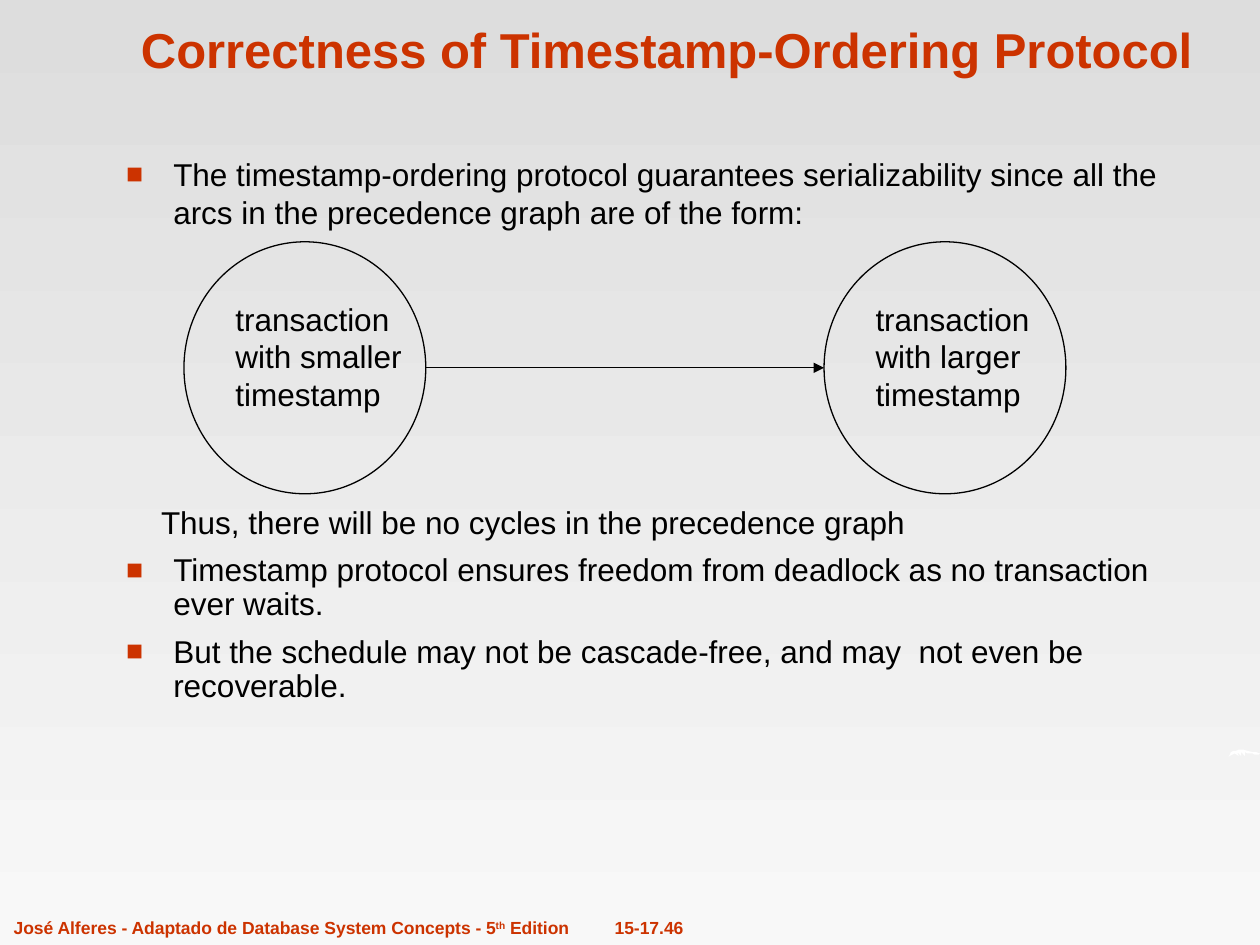
from dataclasses import dataclass

from lxml import etree
from pptx import Presentation
from pptx.dml.color import RGBColor
from pptx.enum import shapes, text
from pptx.oxml import ns
from pptx.util import Pt


@dataclass(frozen=True)
class Theme:
    """Colours, font and type sizes of the deck."""
    font: str = "Arial"
    accent: RGBColor = RGBColor(0xCC, 0x33, 0x00)
    ink: RGBColor = RGBColor(0, 0, 0)
    white: RGBColor = RGBColor(255, 255, 255)
    back: tuple = (RGBColor(0xDD, 0xDD, 0xDD), RGBColor(0xF8, 0xF8, 0xF8))
    title: float = 28
    body: float = 18
    footer: float = 10
    leading: float = 21.6
    tight: float = 19.4
    line: float = 0.75


T = Theme()
FRAME = dict(margin_left=Pt(7.2), margin_right=Pt(7.2), margin_top=Pt(3.6),
             margin_bottom=Pt(3.6), auto_size=text.MSO_AUTO_SIZE.NONE)
SWOOSH = [(0, 43), (7, 29), (14, 14), (29, 7), (43, 7), (58, 0), (86, 0),
          (108, 7), (137, 14), (158, 14), (180, 22), (173, 29), (151, 29),
          (137, 22), (108, 22), (94, 14), (94, 36), (72, 14), (72, 36),
          (50, 14), (58, 36), (36, 22), (22, 29), (7, 36)]


def apply(obj, **values):
    """Set each named value on the object."""
    for name, value in values.items():
        setattr(obj, name, value)


def place(sp, box):
    """Move a shape to a box given in points."""
    apply(sp, **dict(zip(("left", "top", "width", "height"), map(Pt, box))))


def add_run(p, words, size, color, bold=False):
    """Append a formatted run to a paragraph."""
    r = p.add_run()
    r.text = words
    apply(r.font, name=T.font, size=Pt(size), bold=bold)
    r.font.color.rgb = color
    return r


def add_box(s, box):
    """Add an unwrapped text box and return its frame."""
    tf = s.shapes.add_textbox(*map(Pt, box)).text_frame
    apply(tf, word_wrap=False, **FRAME)
    return tf


def set_bullet(p, shown, margin, indent):
    """Give a paragraph its indents and a square bullet or none."""
    pPr = p._p.get_or_add_pPr()
    pPr.set("marL", str(Pt(margin)))
    pPr.set("indent", str(Pt(indent)))
    if not shown:
        etree.SubElement(pPr, ns.qn("a:buNone"))
        return
    clr = etree.SubElement(pPr, ns.qn("a:buClr"))
    etree.SubElement(clr, ns.qn("a:srgbClr"), val=str(T.accent))
    etree.SubElement(pPr, ns.qn("a:buSzPct"), val="90000")
    etree.SubElement(pPr, ns.qn("a:buFont"), typeface=T.font)
    etree.SubElement(pPr, ns.qn("a:buChar"), char="■")


def add_background(s):
    """Fill the slide with a vertical gradient."""
    fill = s.background.fill
    fill.gradient()
    fill.gradient_angle = 270
    for stop, color in zip(fill.gradient_stops, T.back):
        stop.color.rgb = color


def add_swoosh(s, left, top):
    """Draw the small white stroke at the slide edge."""
    fb = s.shapes.build_freeform(*SWOOSH[0], scale=Pt(1) / 10)
    fb.add_line_segments(SWOOSH[1:], close=True)
    sp = fb.convert_to_shape(Pt(left), Pt(top))
    sp.shadow.inherit = False
    sp.fill.solid()
    sp.fill.fore_color.rgb = T.white
    sp.line.fill.background()


def add_footer(s, box):
    """Write the credit line and page number along the box."""
    left, top, width, height = box
    credit = add_box(s, (left, top, 332.6, height)).paragraphs[0]
    number = add_box(s, (left + width - 90.7, top, 90.7, height)).paragraphs[0]
    number.alignment = text.PP_ALIGN.CENTER
    style = (T.footer, T.accent, True)
    add_run(credit, "José Alferes - Adaptado de Database System Concepts - 5", *style)
    th = add_run(credit, "th", *style)
    th.font._element.set("baseline", "30000")
    add_run(credit, " Edition", *style)
    add_run(number, "15-17.46", *style)
    for p in (credit, number):
        p.space_before = Pt(6.2)


def add_title(s, box, words):
    """Fill the title placeholder."""
    sp = s.shapes.title
    place(sp, box)
    tf = sp.text_frame
    apply(tf, word_wrap=True, vertical_anchor=text.MSO_ANCHOR.BOTTOM, **FRAME)
    p = tf.paragraphs[0]
    p.alignment = text.PP_ALIGN.CENTER
    add_run(p, words, T.title, T.accent, True)


def add_body(s, box, items):
    """Fill the body placeholder with (words, bulleted, leading, gap) items."""
    sp = s.placeholders[1]
    place(sp, box)
    tf = sp.text_frame
    apply(tf, word_wrap=True, vertical_anchor=text.MSO_ANCHOR.TOP, **FRAME)
    for i, (words, bulleted, leading, gap) in enumerate(items):
        p = tf.add_paragraph() if i else tf.paragraphs[0]
        apply(p, line_spacing=Pt(leading), space_before=Pt(gap))
        set_bullet(p, bulleted, *((27, -27) if bulleted else (20, 0)))
        add_run(p, words, T.body, T.ink)


def add_node(s, box, lines, width):
    """Draw one transaction circle with its label."""
    sp = s.shapes.add_shape(shapes.MSO_SHAPE.OVAL, *map(Pt, box))
    sp.shadow.inherit = False
    sp.fill.background()
    sp.line.color.rgb = T.ink
    sp.line.width = Pt(T.line)
    tf = add_box(s, (box[0] + 22.3, box[1] + 29.5, width, 72))
    for i, words in enumerate(lines):
        p = tf.add_paragraph() if i else tf.paragraphs[0]
        p.line_spacing = Pt(T.leading)
        add_run(p, words, T.body, T.ink)


def add_graph(s, box):
    """Draw the precedence arc between two transactions."""
    left, top, width, height = box
    node = 138.2
    right = left + width - node
    for x, kind, label in ((left, "smaller", 109.4), (right, "larger", 102.2)):
        lines = ("transaction", f"with {kind}", "timestamp")
        add_node(s, (x, top, node, height), lines, label)
    y = top + height / 2
    arc = s.shapes.add_connector(shapes.MSO_CONNECTOR.STRAIGHT,
                                 *map(Pt, (left + node, y, right, y)))
    arc.line.color.rgb = T.ink
    arc.line.width = Pt(T.line)
    etree.SubElement(arc.line._get_or_add_ln(), ns.qn("a:tailEnd"), type="triangle")
    etree.SubElement(arc._element.spPr, ns.qn("a:effectLst"))


def main():
    """Build the slide and save it."""
    prs = Presentation()
    apply(prs, slide_width=Pt(720), slide_height=Pt(540))
    s = prs.slides.add_slide(prs.slide_layouts[1])
    add_background(s)
    add_footer(s, (0.7, 520.6, 415.5, 19.4))
    add_swoosh(s, 702, 428.4)
    add_title(s, (41.8, 0, 678.2, 48.2), "Correctness of Timestamp-Ordering Protocol")
    add_body(s, (64.8, 85, 621.4, 416.2), [
        ("The timestamp-ordering protocol guarantees serializability since all the "
         "arcs in the precedence graph are of the form:", True, T.leading, 7.9),
        ("Thus, there will be no cycles in the precedence graph", False, T.leading, 155.4),
        ("Timestamp protocol ensures freedom from deadlock as no transaction "
         "ever waits.", True, T.tight, 7.9),
        ("But the schedule may not be cascade-free, and may  not even be "
         "recoverable.", True, T.tight, 7.9),
    ])
    add_graph(s, (105.1, 138.2, 504, 144))
    prs.save("out.pptx")


if __name__ == "__main__":
    main()
